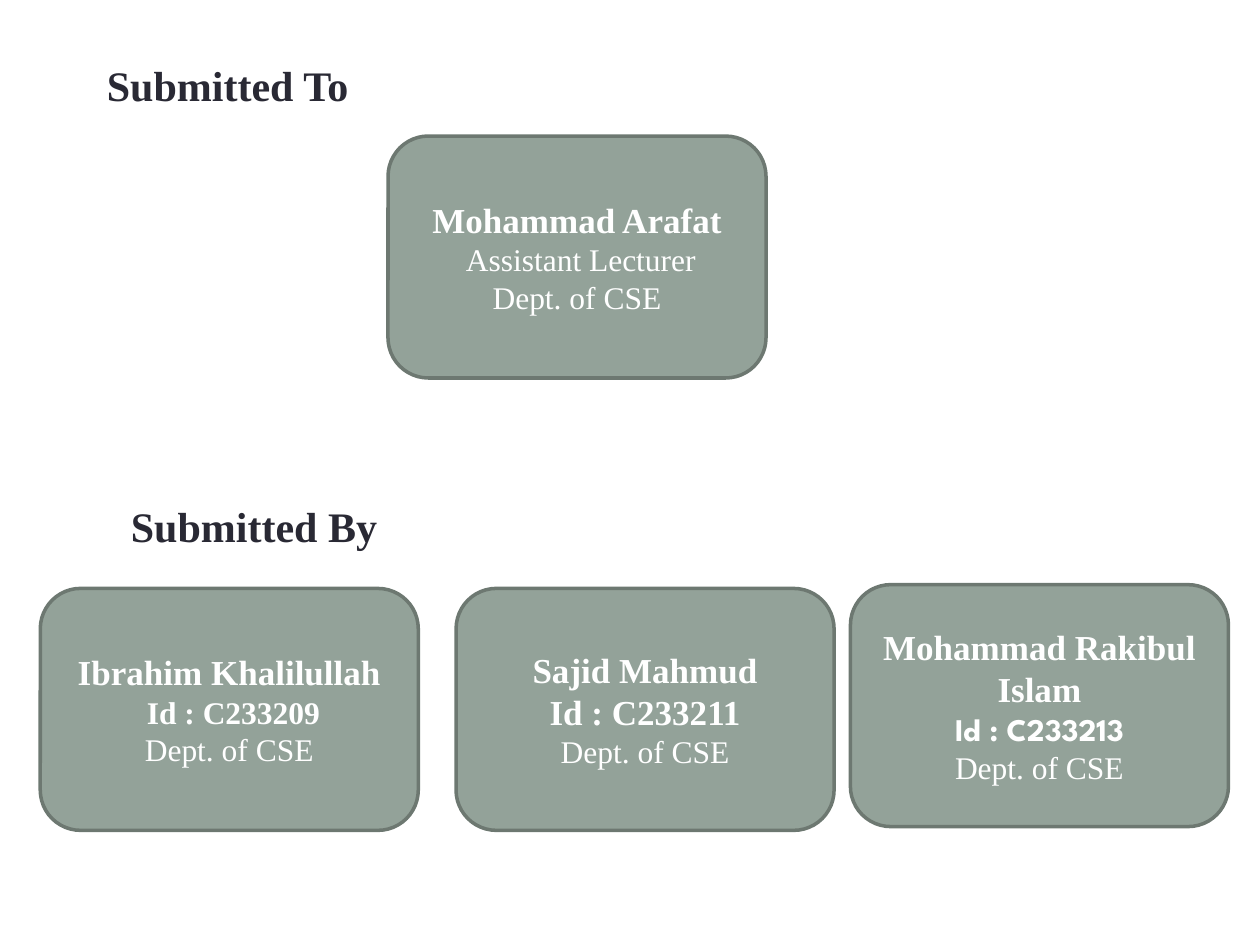
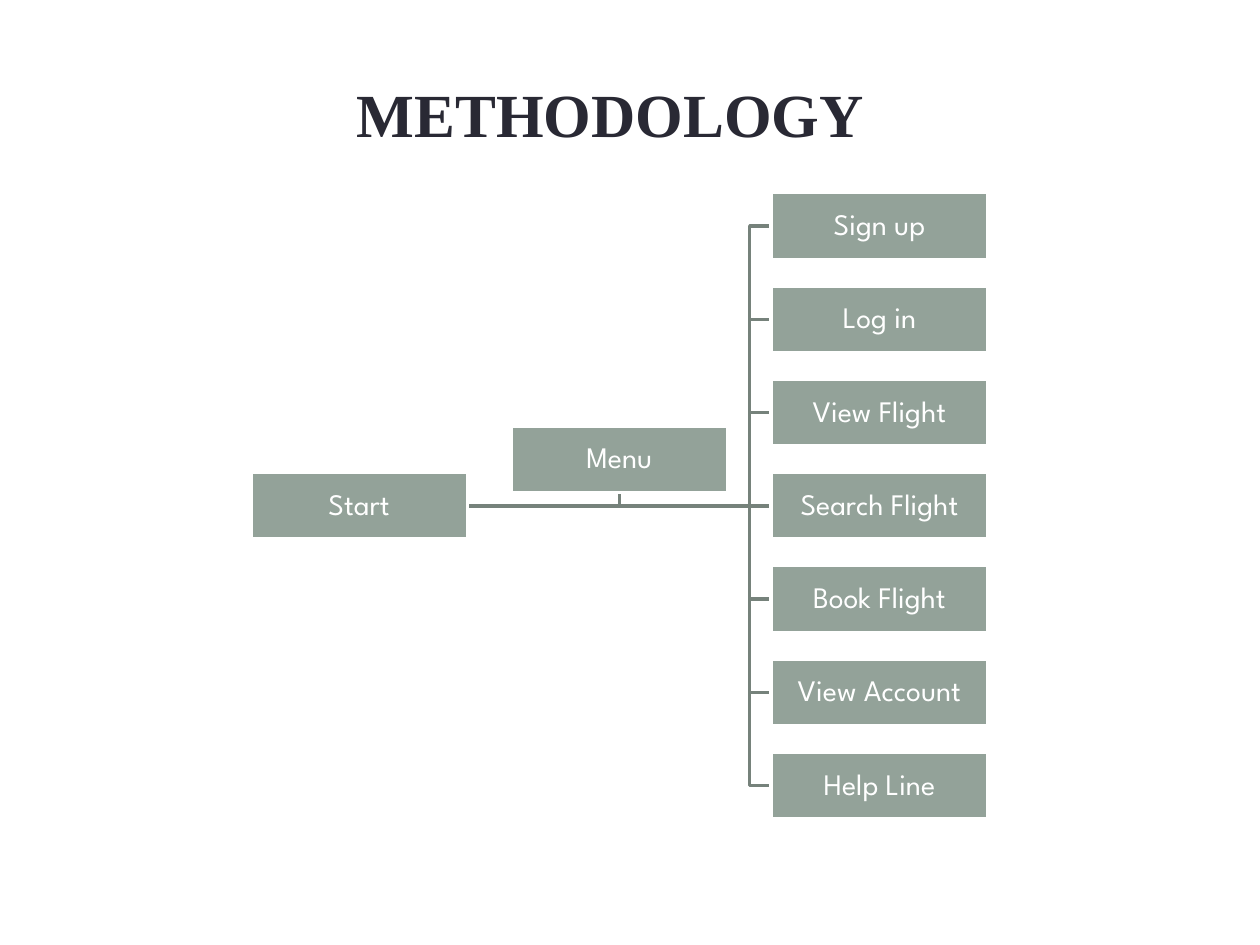
from pptx import Presentation
from pptx import util as u
from pptx.dml.color import RGBColor
from pptx.enum import shapes, text
from pptx.oxml.ns import qn
from lxml import etree

rgb = RGBColor.from_string
SAGE, EDGE, LINK, INK, WHITE = "93A299", "6D7871", "76827B", "292934", "FFFFFF"
TIMES, SPARTAN = "Times New Roman", "League Spartan"
W, H = 10, 7.5


def look(sp, fill, line):
    sp.shadow.inherit = False
    if fill:
        sp.fill.solid()
        sp.fill.fore_color.rgb = rgb(fill)
    else:
        sp.fill.background()
    sp.line.color.rgb = rgb(line)
    sp.line.width = u.Pt(2)


def write(tf, lines, color, align, **frame):
    for name, value in frame.items():
        setattr(tf, name, value)
    for i, runs in enumerate(lines):
        p = tf.add_paragraph() if i else tf.paragraphs[0]
        p.alignment = align
        for words, size, face, bold in runs:
            r = p.add_run()
            r.text = words
            for name, value in dict(size=u.Pt(size), name=face, bold=bold).items():
                setattr(r.font, name, value)
            r.font.color.rgb = rgb(color)


prs = Presentation()
prs.slide_width, prs.slide_height = u.Inches(W), u.Inches(H)
blank = prs.slide_layouts[6]
left, center = text.PP_ALIGN.LEFT, text.PP_ALIGN.CENTER
middle = text.MSO_ANCHOR.MIDDLE

s = prs.slides.add_slide(blank)
for heading, x, y, w in [("Submitted To", 0.75, 0.42, 2.14), ("Submitted By", 0.94, 3.92, 2.18)]:
    tb = s.shapes.add_textbox(*map(u.Inches, (x, y, w, 0.5)))
    write(tb.text_frame, [[(heading, 24, TIMES, True)]], INK, left, word_wrap=False)

dept = [("Dept. of CSE", 18, TIMES, False)]
cards = [
    (3.08, 1.08, "Mohammad Arafat",
     [(" ", 18, SPARTAN, False), ("Assistant Lecturer", 18, TIMES, False)]),
    (0.32, 4.67, "Ibrahim Khalilullah",
     [(" ", 18, SPARTAN, True), ("Id : C233209", 18, TIMES, True)]),
    (3.62, 4.67, "Sajid Mahmud", [("Id : C233211", 20, TIMES, True)]),
    (6.75, 4.64, "Mohammad Rakibul Islam", [("Id : C233213", 18, SPARTAN, True)]),
]
for x, y, person, role in cards:
    sp = s.shapes.add_shape(shapes.MSO_SHAPE.ROUNDED_RECTANGLE, *map(u.Inches, (x, y, 3, 1.92)))
    look(sp, SAGE, EDGE)
    write(sp.text_frame, [[(person, 20, TIMES, True)], role, dept], WHITE, center,
          vertical_anchor=middle, word_wrap=True)

s = prs.slides.add_slide(blank)
tb = s.shapes.add_textbox(*map(u.Inches, (0.33, 0.33, 9.03, 1.14)))
write(tb.text_frame, [[("METHODOLOGY", 35, TIMES, True)]], INK, center,
      vertical_anchor=middle, word_wrap=True)

steps = ["Sign up", "Log in", "View Flight", "Search Flight", "Book Flight", "View Account", "Help Line"]
x0, y0, col, row = 1.99, 1.53, 2.065, 0.74
bw, bh = 1.72, 0.53
mid = len(steps) // 2
start_x, step_x, trunk_x = x0 + bw, x0 + 2 * col, 5.95
axis_y = y0 + mid * row + bh / 2
menu_x, menu_y = x0 + col + bw / 2, y0 + (mid - 0.5) * row + bh

routes = [[(menu_x, axis_y), (menu_x, menu_y)]]
for i in range(len(steps)):
    y = y0 + i * row + bh / 2
    if i != mid:
        routes.append([(trunk_x, axis_y), (trunk_x, y), (step_x, y)])
for route in routes:
    fb = s.shapes.build_freeform(u.Inches(start_x), u.Inches(axis_y))
    fb.add_line_segments([(u.Inches(x), u.Inches(y)) for x, y in route], close=False)
    look(fb.convert_to_shape(), None, LINK)

cn = s.shapes.add_connector(shapes.MSO_CONNECTOR.STRAIGHT,
                            *map(u.Inches, (start_x, axis_y, step_x, axis_y)))
cn.line.color.rgb = rgb(LINK)
cn.line.width = u.Pt(2)
etree.SubElement(cn._element.spPr, qn("a:effectLst"))

boxes = [("Start", 0, mid), ("Menu", 1, mid - 0.5)]
boxes += [(step, 2, i) for i, step in enumerate(steps)]
inset = u.Inches(0.01)
for label, c, n in boxes:
    sp = s.shapes.add_shape(shapes.MSO_SHAPE.RECTANGLE,
                            *map(u.Inches, (x0 + c * col, y0 + n * row, bw, bh)))
    look(sp, SAGE, WHITE)
    write(sp.text_frame, [[(label, 17, SPARTAN, False)]], WHITE, center,
          vertical_anchor=middle, word_wrap=True, margin_left=inset,
          margin_right=inset, margin_top=inset, margin_bottom=inset)
    sp.text_frame.paragraphs[0].line_spacing = 0.9

prs.save("out.pptx")
